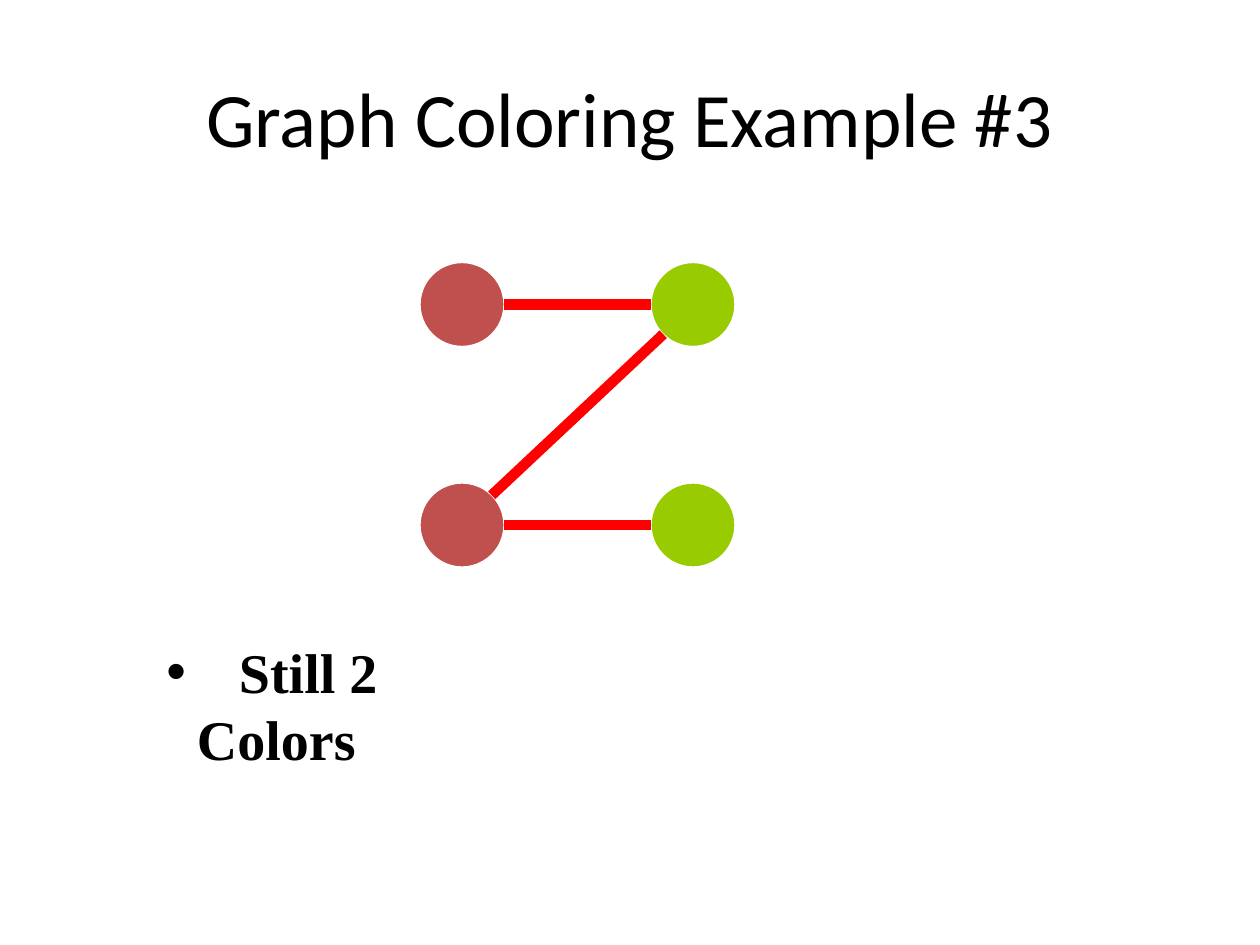
from dataclasses import dataclass
from math import sqrt

from pptx import Presentation
from pptx.dml.color import RGBColor as Rgb
from pptx.enum import shapes as kinds, text as txt
from pptx.oxml import parse_xml
from pptx.oxml import ns
from pptx.util import Pt


@dataclass(frozen=True)
class Theme:
    ink: Rgb = Rgb(0, 0, 0)
    rim: Rgb = Rgb(255, 255, 255)
    edge: Rgb = Rgb(255, 0, 0)
    red: Rgb = Rgb(0xC0, 0x50, 0x4D)
    green: Rgb = Rgb(0x99, 0xCC, 0)
    title: int = 44
    body: int = 32
    head: str = "Calibri"
    serif: str = "Times New Roman"


T = Theme()

# Node grid: left, top, column step, row step, diameter
LEFT, TOP, COL, ROW, SIZE = 240, 150, 132, 126, 48
DIAG = 1 / sqrt(2)


def style(run, font, size, bold=False):
    run.font.name = font
    run.font.size = Pt(size)
    run.font.bold = bold
    run.font.color.rgb = T.ink


def place(shape, x, y, w, h):
    shape.left, shape.top, shape.width, shape.height = map(Pt, (x, y, w, h))
    shape.text_frame.vertical_anchor = txt.MSO_ANCHOR.MIDDLE


def add_title(slide, words):
    title = slide.shapes.title
    place(title, 36, 21.6, 648, 90)
    title.text_frame.text = words
    para = title.text_frame.paragraphs[0]
    para.alignment = txt.PP_ALIGN.CENTER
    style(para.runs[0], T.head, T.title)


def add_note(slide, words):
    body = slide.placeholders[1]
    place(body, 87.84, 362, 227.5, 81)
    frame = body.text_frame
    frame.auto_size = txt.MSO_AUTO_SIZE.NONE
    para = frame.paragraphs[0]
    para.space_before = Pt(0)
    props = para._p.get_or_add_pPr()
    props.set("marL", str(Pt(17.5)))
    props.set("indent", str(-Pt(17.5)))
    # One widely tracked space sets the first line in from the second
    para.text = " "
    para.add_run().text = words
    for run in para.runs:
        style(run, T.serif, T.body, True)
    para.runs[0].font._element.set("spc", "1600")


def add_node(slide, col, row, fill):
    node = slide.shapes.add_shape(
        kinds.MSO_SHAPE.OVAL, Pt(LEFT + col * COL), Pt(TOP + row * ROW),
        Pt(SIZE), Pt(SIZE))
    node.shadow.inherit = False
    node.fill.solid()
    node.fill.fore_color.rgb = fill
    node.line.color.rgb = T.rim
    node.line.width = Pt(0.75)


def rim(col, row, dx, dy):
    """Point on a node's rim, in the direction dx, dy from its centre."""
    half = SIZE / 2
    return (Pt(LEFT + col * COL + half * (1 + dx)),
            Pt(TOP + row * ROW + half * (1 + dy)))


def add_edge(slide, start, end):
    edge = slide.shapes.add_connector(
        kinds.MSO_CONNECTOR.STRAIGHT, *start, *end)
    edge.line.color.rgb = T.edge
    edge.line.width = Pt(6)
    edge._element.spPr.append(
        parse_xml(f"<a:effectLst {ns.nsdecls('a')}/>"))


def main():
    deck = Presentation()
    deck.slide_width, deck.slide_height = Pt(720), Pt(540)
    slide = deck.slides.add_slide(deck.slide_layouts[1])

    add_title(slide, "Graph Coloring Example #3")
    add_note(slide, "Still 2 Colors")

    # Nodes: one colour per column
    for row in range(2):
        for col, fill in enumerate((T.red, T.green)):
            add_node(slide, col, row, fill)

    # Edges: one across each row, one diagonal
    for row in range(2):
        add_edge(slide, rim(0, row, 1, 0), rim(1, row, -1, 0))
    add_edge(slide, rim(0, 1, DIAG, -DIAG), rim(1, 0, -DIAG, DIAG))

    deck.save("out.pptx")


if __name__ == "__main__":
    main()
